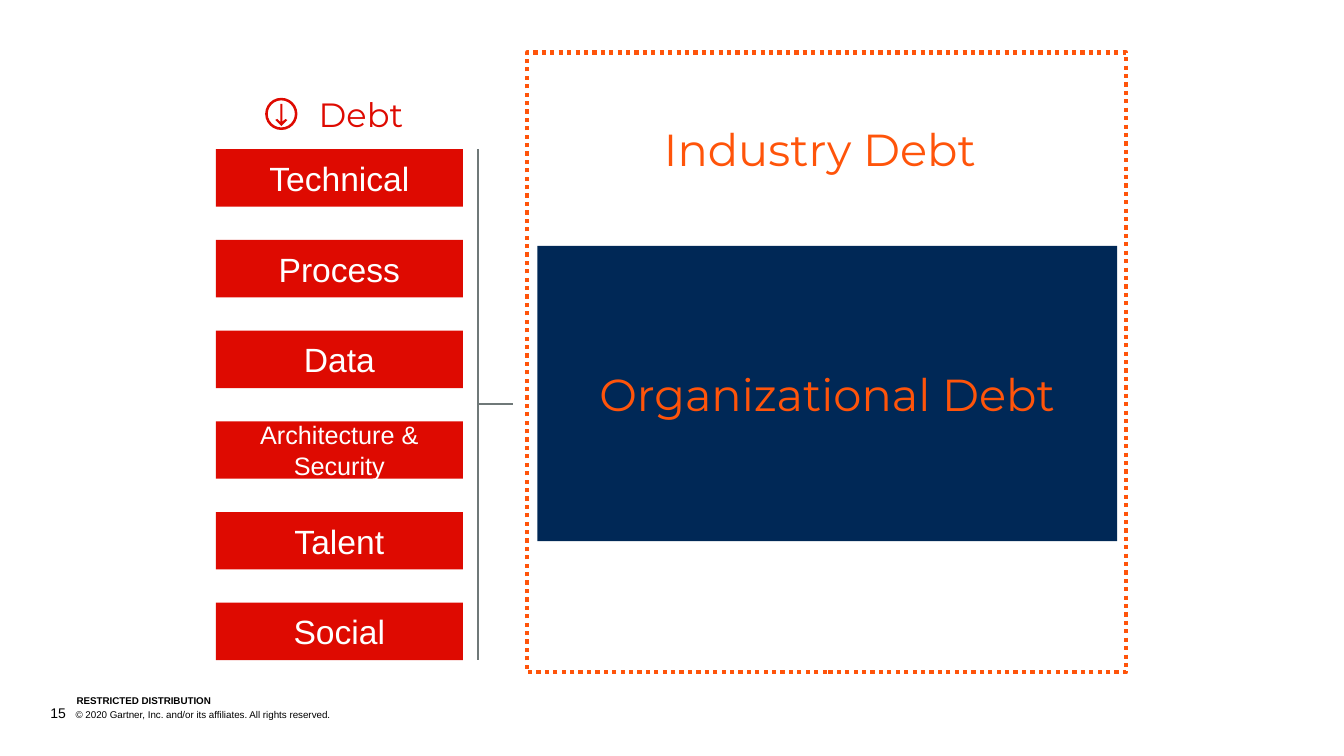
"""Build a slide showing six kinds of debt inside organizational and industry debt."""
from lxml import etree
from pptx import Presentation
from pptx import util as u
from pptx.dml.color import RGBColor
from pptx.enum import dml, shapes, text
from pptx.oxml import ns

PX = 9144
RED, ORANGE, NAVY, GREY = "DE0A01", "FF540A", "002856", "6F7878"
WHITE, BLACK = "FFFFFF", "000000"
DEBTS = ["Technical", "Process", "Data", "Architecture & Security", "Talent", "Social"]
COPYRIGHT = "© 2020 Gartner, Inc. and/or its affiliates. All rights reserved."


def px(*lengths):
    """Turn whole px into EMU lengths."""
    return [u.Emu(length * PX) for length in lengths]


def paint(color_format, color):
    """Set a fill or line colour from a hex string."""
    if hasattr(color_format, "solid"):
        color_format.solid()
        color_format = color_format.fore_color
    else:
        color_format = color_format.color
    color_format.rgb = RGBColor.from_string(color)


def add_run(paragraph, words, size=24, font="Arial", color=WHITE, bold=False):
    """Add one formatted run to a paragraph."""
    run = paragraph.add_run()
    run.text = words
    run.font.size, run.font.name, run.font.bold = u.Pt(size), font, bold
    run.font.color.rgb = RGBColor.from_string(color)


def write(shape, words, margins=(0, 0, 0, 0), anchor=text.MSO_ANCHOR.MIDDLE,
          align=text.PP_ALIGN.CENTER, wrap=True, **run_format):
    """Write one paragraph into a shape and return the paragraph."""
    frame = shape.text_frame
    frame.word_wrap, frame.vertical_anchor = wrap, anchor
    frame.margin_left, frame.margin_top, frame.margin_right, frame.margin_bottom = px(*margins)
    paragraph = frame.paragraphs[0]
    paragraph.alignment = align
    add_run(paragraph, words, **run_format)
    return paragraph


def add_block(slide, box, fill, kind=shapes.MSO_SHAPE.RECTANGLE):
    """Add a flat filled shape without an outline."""
    shape = slide.shapes.add_shape(kind, *px(*box))
    shape.shadow.inherit = False
    paint(shape.fill, fill)
    shape.line.fill.background()
    return shape


def add_line(slide, *ends):
    """Add a thin grey line between two points."""
    line = slide.shapes.add_connector(shapes.MSO_CONNECTOR.STRAIGHT, *px(*ends))
    paint(line.line, GREY)
    line.line.width = u.Pt(1.5)
    etree.SubElement(line._element.spPr, ns.qn("a:effectLst"))


def add_heading(slide, left, top):
    """Draw the circled down arrow and the word beside it."""
    ring = add_block(slide, (left, top + 9, 32, 32), RED, shapes.MSO_SHAPE.DONUT)
    ring.adjustments[0] = 0.08
    middle, tip = left + 16, top + 37
    right_side = [(1, -22), (1, -4), (4, -7), (6, -6)]
    left_side = [(-x, y) for x, y in reversed(right_side)]
    points = [(middle + x, tip + y) for x, y in right_side + [(0, 0)] + left_side]
    builder = slide.shapes.build_freeform(*points[0], scale=PX)
    builder.add_line_segments(points[1:], close=True)
    arrow = builder.convert_to_shape()
    arrow.shadow.inherit = False
    paint(arrow.fill, RED)
    arrow.line.fill.background()
    label = slide.shapes.add_textbox(*px(left + 42, top, 106, 50))
    write(label, "Debt", margins=(10, 5, 10, 5), anchor=text.MSO_ANCHOR.TOP,
          wrap=False, font="Montserrat", color=RED)


def add_debt_list(slide, left, top, width, height):
    """Stack the debt bars evenly and bracket them on the right."""
    bar_height = 57
    pitch = (height - bar_height) // (len(DEBTS) - 1)
    for row, debt in enumerate(DEBTS):
        bar = add_block(slide, (left, top + row * pitch, width, bar_height), RED)
        write(bar, debt, size=18 if len(debt) > 12 else 24)
    bracket, middle = left + width + 15, top + height // 2
    add_line(slide, bracket, top, bracket, top + height)
    add_line(slide, bracket, middle, bracket + 35, middle)


def add_industry(slide, left, top, width, height):
    """Draw the dotted industry frame with the organization inside it."""
    frame = add_block(slide, (left, top, width, height), WHITE)
    paint(frame.line, ORANGE)
    frame.line.width = u.Pt(3)
    frame.line.dash_style = dml.MSO_LINE.ROUND_DOT
    write(frame, "Industry Debt", margins=(10, 5, 23, 430), size=32,
          font="Montserrat", color=ORANGE)
    organization = add_block(slide, (left + 10, top + 192, width - 19, 293), NAVY)
    write(organization, "Organizational Debt", margins=(10, 0, 10, 0), size=32,
          font="Montserrat", color=ORANGE)


def add_footer(slide, left, top):
    """Write the distribution note, page number and copyright line."""
    style = dict(anchor=text.MSO_ANCHOR.BOTTOM, align=text.PP_ALIGN.LEFT, color=BLACK)
    note = slide.shapes.add_textbox(*px(left + 26, top, 253, 11))
    write(note, "RESTRICTED DISTRIBUTION", size=7, bold=True, **style).line_spacing = 0.9
    page = slide.shapes.add_textbox(*px(left, top + 9, 799, 17))
    paragraph = write(page, "15", size=10, **style)
    indent = 25 * PX
    properties = paragraph._p.get_or_add_pPr()
    properties.set("marL", str(indent))
    properties.set("indent", str(-indent))
    add_run(paragraph, "\t" + COPYRIGHT, size=7, color=BLACK)


def main():
    """Build and save the slide."""
    presentation = Presentation()
    presentation.slide_width, presentation.slide_height = px(1333, 750)
    slide = presentation.slides.add_slide(presentation.slide_layouts[6])
    add_footer(slide, 50, 690)
    add_heading(slide, 263, 88)
    add_debt_list(slide, 214, 148, 245, 507)
    add_industry(slide, 523, 52, 594, 615)
    presentation.save("out.pptx")


if __name__ == "__main__":
    main()
